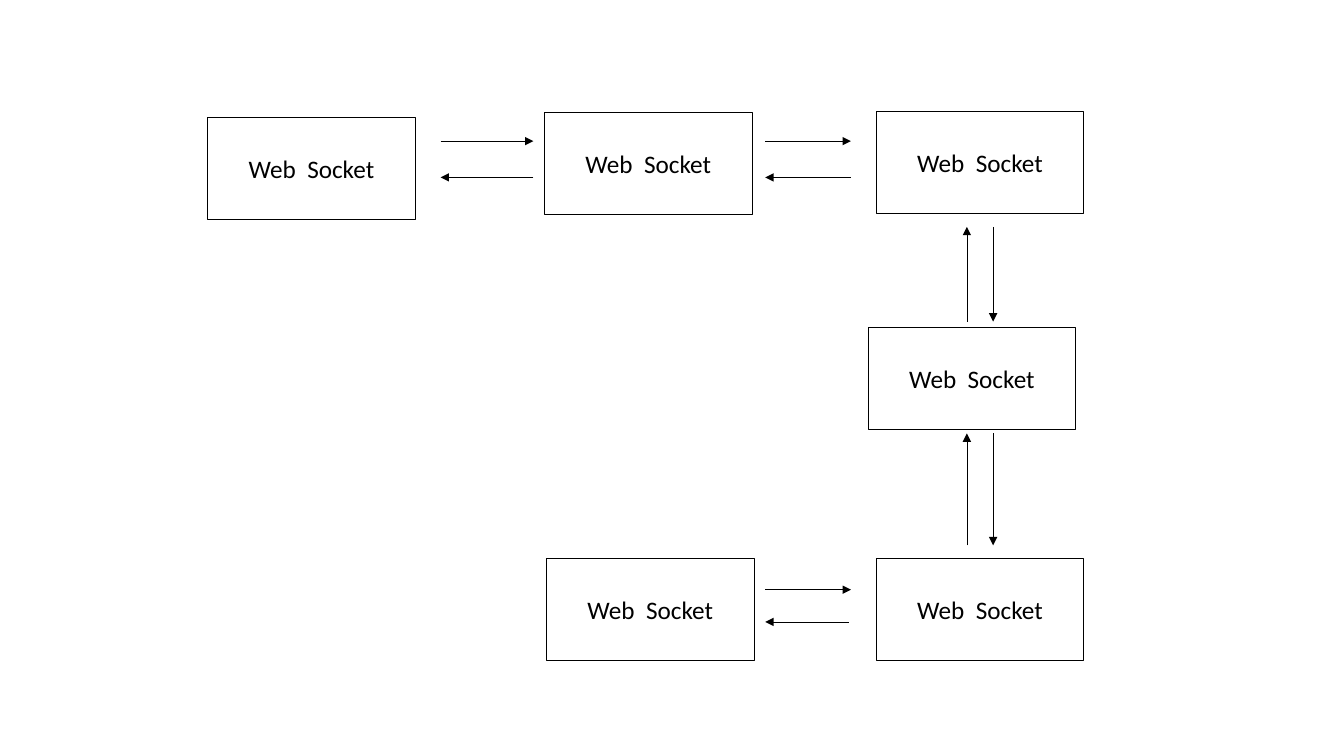
"""Build a slide of web socket nodes joined by two-way arrow pairs."""
from dataclasses import dataclass

from lxml import etree
from pptx import Presentation
from pptx.dml.color import RGBColor
from pptx.enum.shapes import MSO_CONNECTOR, MSO_SHAPE
from pptx.enum.text import MSO_ANCHOR, PP_ALIGN
from pptx.oxml.ns import qn
from pptx.util import Inches, Pt

RECTANGLE = MSO_SHAPE.RECTANGLE
STRAIGHT = MSO_CONNECTOR.STRAIGHT
MIDDLE = MSO_ANCHOR.MIDDLE
CENTER = PP_ALIGN.CENTER
BLANK_LAYOUT = 6


@dataclass(frozen=True)
class Theme:
    ink: RGBColor = RGBColor(0, 0, 0)
    font: str = "Calibri"
    label_size: int = 18
    box_line: float = 0.75
    arrow_line: float = 0.5


THEME = Theme()
LABEL = "Web  Socket"
NODE_SIZE = (2.06, 1.01)
NODES = [(2.06, 1.17), (5.4, 1.12), (8.69, 1.11),
         (8.61, 3.25), (8.69, 5.54), (5.42, 5.54)]

TOP_LANES = (1.4, 1.76)
BOTTOM_LANES = (5.85, 6.17)
DOWN_LANE, UP_LANE = 9.85, 9.59
ROW_LINKS = [
    (TOP_LANES, (4.37, 5.29), (5.29, 4.37)),
    (TOP_LANES, (7.59, 8.44), (8.44, 7.59)),
    (BOTTOM_LANES, (7.59, 8.44), (8.42, 7.59)),
]
COLUMN_LINKS = [(2.25, 3.19), (4.3, 5.41)]


def set_format(target, values):
    for name, value in values.items():
        setattr(target, name, value)


def style_line(line, width):
    line.color.rgb = THEME.ink
    line.width = Pt(width)


def add_node(page, left, top):
    box = page.shapes.add_shape(
        RECTANGLE, *map(Inches, (left, top, *NODE_SIZE)))
    box.shadow.inherit = False
    box.fill.background()
    style_line(box.line, THEME.box_line)
    set_format(box.text_frame, {"word_wrap": True, "vertical_anchor": MIDDLE})
    para = box.text_frame.paragraphs[0]
    para.alignment = CENTER
    span = para.add_run()
    span.text = LABEL
    set_format(span.font, {"name": THEME.font, "size": Pt(THEME.label_size)})
    span.font.color.rgb = THEME.ink


def add_arrow(page, start, end):
    arrow = page.shapes.add_connector(STRAIGHT, *map(Inches, (*start, *end)))
    style_line(arrow.line, THEME.arrow_line)
    outline = arrow.line._get_or_add_ln()
    etree.SubElement(outline, qn("a:tailEnd"), type="triangle")
    etree.SubElement(arrow._element.spPr, qn("a:effectLst"))


deck = Presentation()
set_format(deck, {"slide_width": Inches(13.33), "slide_height": Inches(7.5)})
page = deck.slides.add_slide(deck.slide_layouts[BLANK_LAYOUT])

for left, top in NODES:
    add_node(page, left, top)

for lanes, *spans in ROW_LINKS:
    for lane, (start, end) in zip(lanes, spans):
        add_arrow(page, (start, lane), (end, lane))

for upper, lower in COLUMN_LINKS:
    add_arrow(page, (DOWN_LANE, upper), (DOWN_LANE, lower))
    add_arrow(page, (UP_LANE, lower), (UP_LANE, upper))

deck.save("out.pptx")
